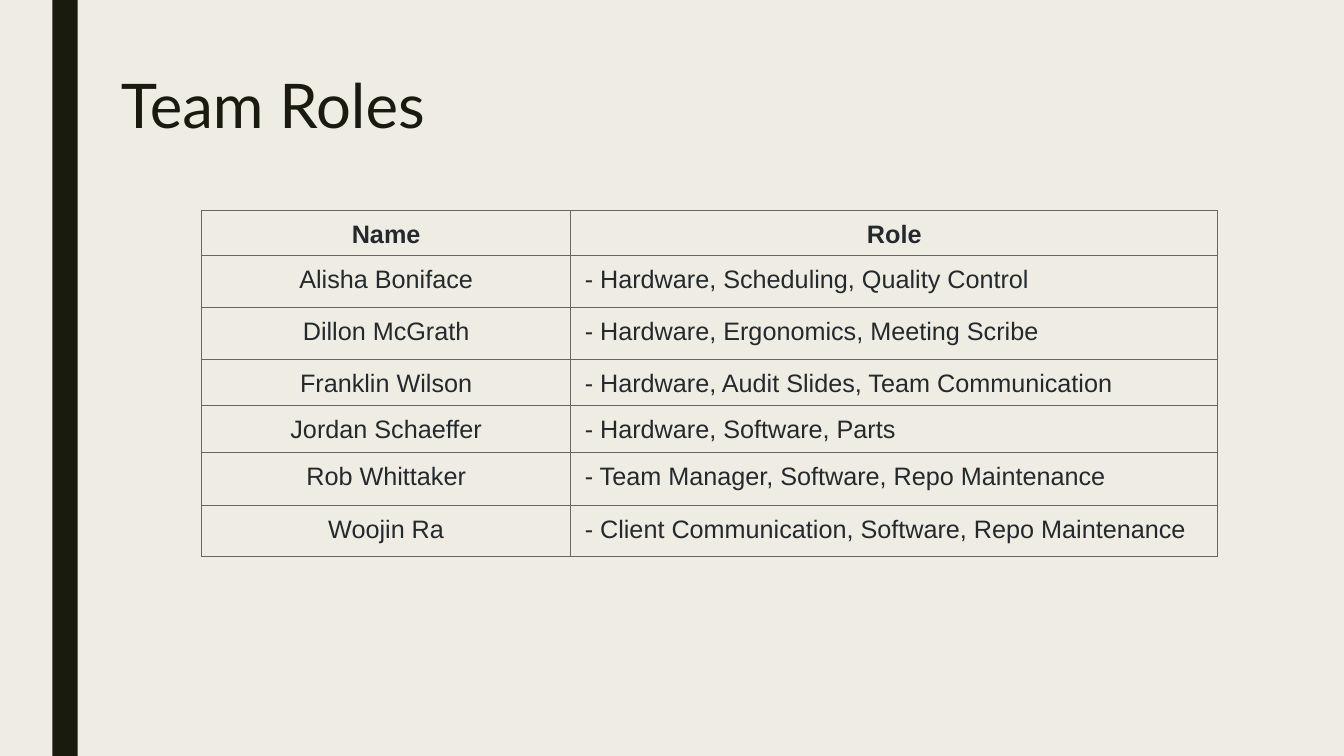
from dataclasses import dataclass

from lxml import etree
from pptx import Presentation
from pptx.dml.color import RGBColor
from pptx.enum.shapes import MSO_SHAPE
from pptx.enum.text import MSO_ANCHOR, PP_ALIGN
from pptx.oxml.ns import qn
from pptx.util import Inches, Pt

RECT = MSO_SHAPE.RECTANGLE
TOP = MSO_ANCHOR.TOP
LEFT, CENTER = PP_ALIGN.LEFT, PP_ALIGN.CENTER
TITLE_ONLY = 5


@dataclass(frozen=True)
class Theme:
    background: str = "EFEDE3"
    dark: str = "191B0E"
    text: str = "24292E"
    border: str = "666666"
    title_font: str = "Lato"
    body_font: str = "Arial"
    title_size: int = 44
    body_size: int = 18
    border_width: float = 0.75


THEME = Theme()

TEAM = [
    ("Name", "Role"),
    ("Alisha Boniface", "- Hardware, Scheduling, Quality Control"),
    ("Dillon McGrath", "- Hardware, Ergonomics, Meeting Scribe"),
    ("Franklin Wilson", "- Hardware, Audit Slides, Team Communication"),
    ("Jordan Schaeffer", "- Hardware, Software, Parts"),
    ("Rob Whittaker", "- Team Manager, Software, Repo Maintenance"),
    ("Woojin Ra", "- Client Communication, Software, Repo Maintenance"),
]
COL_WIDTHS = [3.66, 6.42]
ROW_HEIGHTS = [0.41, 0.52, 0.51, 0.46, 0.47, 0.52, 0.51]


def write(tf, text, *, font=THEME.body_font, size=THEME.body_size, color=THEME.text,
          bold=False, align=LEFT, spacing=1.15, after=12):
    p = tf.paragraphs[0]
    p.alignment = align
    p.line_spacing = spacing
    p.space_before = Pt(0)
    p.space_after = Pt(after)
    r = p.add_run()
    r.text = text
    r.font.name = font
    r.font.size = Pt(size)
    r.font.bold = bold
    r.font.color.rgb = RGBColor.from_string(color)


def set_background(slide):
    fill = slide.background.fill
    fill.solid()
    fill.fore_color.rgb = RGBColor.from_string(THEME.background)


def add_bar(slide, x, y, w, h):
    sp = slide.shapes.add_shape(RECT, Inches(x), Inches(y), Inches(w), Inches(h))
    sp.shadow.inherit = False
    sp.fill.solid()
    sp.fill.fore_color.rgb = RGBColor.from_string(THEME.dark)
    sp.line.fill.background()


def set_title(slide, text, x, y, w, h):
    sp = slide.shapes.title
    sp.left, sp.top, sp.width, sp.height = Inches(x), Inches(y), Inches(w), Inches(h)
    tf = sp.text_frame
    tf.word_wrap = True
    tf.vertical_anchor = TOP
    write(tf, text, font=THEME.title_font, size=THEME.title_size, color=THEME.dark,
          spacing=0.89, after=0)


def set_borders(cell):
    props = cell._tc.get_or_add_tcPr()
    for i, side in enumerate(("a:lnL", "a:lnR", "a:lnT", "a:lnB")):
        ln = etree.Element(qn(side), w=str(Pt(THEME.border_width)))
        fill = etree.SubElement(ln, qn("a:solidFill"))
        etree.SubElement(fill, qn("a:srgbClr"), val=THEME.border)
        props.insert(i, ln)


def add_team_table(slide, x, y):
    frame = slide.shapes.add_table(
        len(TEAM), len(COL_WIDTHS), Inches(x), Inches(y),
        Inches(sum(COL_WIDTHS)), Inches(sum(ROW_HEIGHTS)))
    table = frame.table
    table.horz_banding = False
    for column, width in zip(table.columns, COL_WIDTHS):
        column.width = Inches(width)
    for i, (row, height, texts) in enumerate(zip(table.rows, ROW_HEIGHTS, TEAM)):
        row.height = Inches(height)
        header = i == 0
        for j, (cell, text) in enumerate(zip(row.cells, texts)):
            cell.fill.background()
            cell.vertical_anchor = TOP
            cell.margin_left = cell.margin_right = Inches(0.14)
            cell.margin_top = cell.margin_bottom = Inches(0.06)
            set_borders(cell)
            write(cell.text_frame, text, bold=header,
                  align=CENTER if header or j == 0 else LEFT)


def main():
    prs = Presentation()
    prs.slide_width, prs.slide_height = Inches(13.33), Inches(7.5)
    slide = prs.slides.add_slide(prs.slide_layouts[TITLE_ONLY])
    set_background(slide)
    add_bar(slide, 0.52, 0, 0.25, 7.5)
    set_title(slide, "Team Roles", 1.1, 0.7, 10.5, 1)
    add_team_table(slide, 2, 2.09)
    prs.save("out.pptx")


if __name__ == "__main__":
    main()
